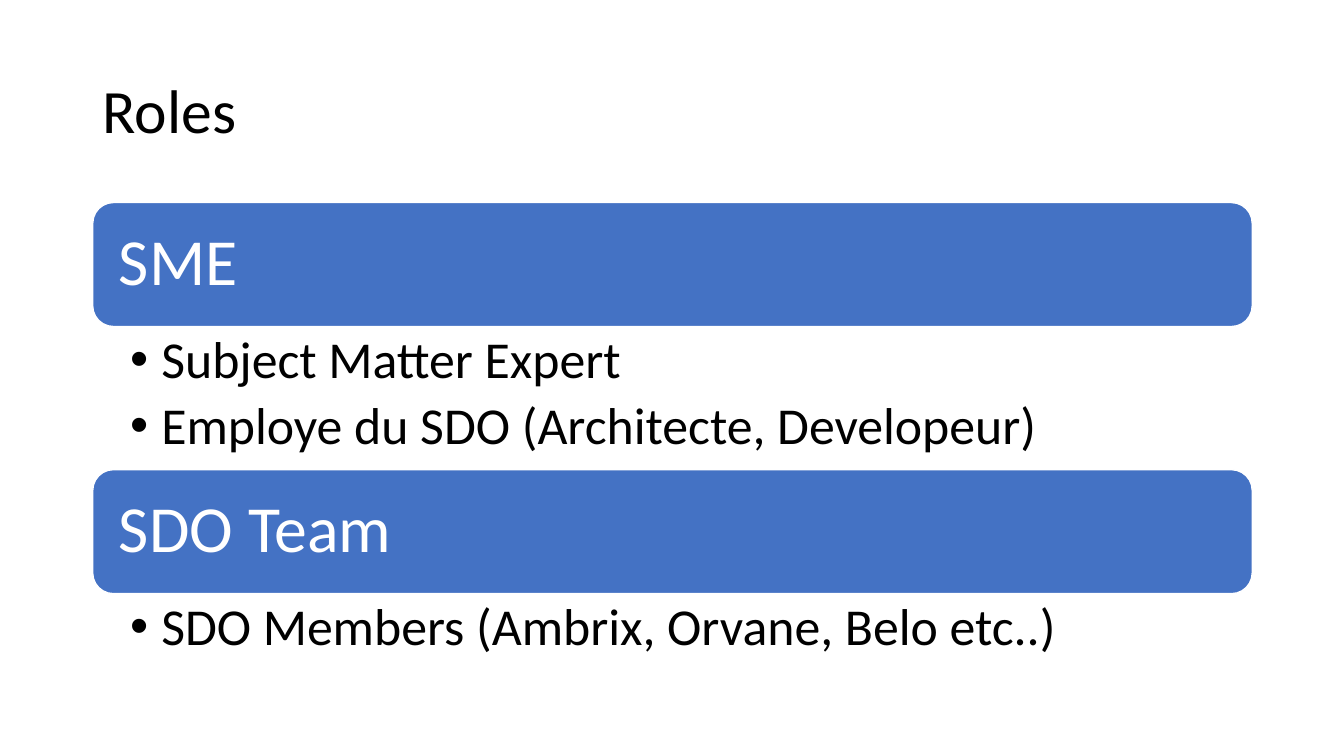
from dataclasses import dataclass

from lxml.etree import SubElement
from pptx import Presentation
from pptx.dml.color import RGBColor
from pptx.enum.shapes import MSO_SHAPE
from pptx.enum.text import MSO_ANCHOR, PP_ALIGN
from pptx.oxml.ns import qn
from pptx.slide import Slide
from pptx.text.text import TextFrame, _Paragraph
from pptx.util import Inches, Pt


@dataclass(frozen=True)
class Theme:
    font: str = "Calibri"
    text: RGBColor = RGBColor(0x00, 0x00, 0x00)
    bar: RGBColor = RGBColor(0x44, 0x72, 0xC4)
    light: RGBColor = RGBColor(0xFF, 0xFF, 0xFF)
    title_size: float = 44
    role_size: float = 47
    detail_size: float = 37
    line_spacing: float = 0.9
    detail_gap: float = 7.4


@dataclass(frozen=True)
class Role:
    name: str
    details: tuple[str, ...]
    details_height: float


THEME = Theme()
LEFT, WIDTH = 0.92, 11.5
ROLES_TOP, BAR_HEIGHT = 2.01, 1.23
BULLET_INDENT = 0.31

ROLES = (
    Role("SME", ("Subject Matter Expert", "Employe du SDO (Architecte, Developeur)"), 1.42),
    Role("SDO Team", ("SDO Members (Ambrix, Orvane, Belo etc..)",), 0.85),
)


def set_insets(frame: TextFrame, horizontal: float, vertical: float) -> None:
    frame.margin_left = frame.margin_right = Inches(horizontal)
    frame.margin_top = frame.margin_bottom = Inches(vertical)


def write(paragraph: _Paragraph, text: str, size: float, color: RGBColor) -> None:
    paragraph.alignment = PP_ALIGN.LEFT
    paragraph.line_spacing = THEME.line_spacing
    run = paragraph.add_run()
    run.text = text
    run.font.name = THEME.font
    run.font.size = Pt(size)
    run.font.color.rgb = color


def add_bullet(paragraph: _Paragraph) -> None:
    properties = paragraph._p.get_or_add_pPr()
    properties.set("marL", str(Inches(BULLET_INDENT)))
    properties.set("indent", str(-Inches(BULLET_INDENT)))
    SubElement(properties, qn("a:buFont"), typeface="Arial")
    SubElement(properties, qn("a:buChar"), char="•")


def add_text_frame(slide: Slide, top: float, height: float) -> TextFrame:
    box = slide.shapes.add_textbox(Inches(LEFT), Inches(top), Inches(WIDTH), Inches(height))
    box.text_frame.word_wrap = True
    return box.text_frame


def add_title(slide: Slide, text: str) -> None:
    frame = add_text_frame(slide, 0.4, 1.45)
    frame.vertical_anchor = MSO_ANCHOR.MIDDLE
    write(frame.paragraphs[0], text, THEME.title_size, THEME.text)


def add_role_bar(slide: Slide, name: str, top: float) -> None:
    bar = slide.shapes.add_shape(
        MSO_SHAPE.ROUNDED_RECTANGLE,
        Inches(LEFT), Inches(top), Inches(WIDTH), Inches(BAR_HEIGHT),
    )
    bar.shadow.inherit = False
    bar.fill.solid()
    bar.fill.fore_color.rgb = THEME.bar
    bar.line.color.rgb = THEME.light
    bar.line.width = Pt(1)
    frame = bar.text_frame
    frame.word_wrap = True
    frame.vertical_anchor = MSO_ANCHOR.MIDDLE
    set_insets(frame, 0.2, 0.2)
    write(frame.paragraphs[0], name, THEME.role_size, THEME.light)


def add_details(slide: Slide, role: Role, top: float) -> None:
    frame = add_text_frame(slide, top, role.details_height)
    set_insets(frame, 0.37, 0.07)
    for index, detail in enumerate(role.details):
        paragraph = frame.add_paragraph() if index else frame.paragraphs[0]
        add_bullet(paragraph)
        paragraph.space_after = Pt(THEME.detail_gap)
        write(paragraph, detail, THEME.detail_size, THEME.text)


def main() -> None:
    presentation = Presentation()
    presentation.slide_width = Inches(13.33)
    presentation.slide_height = Inches(7.5)
    slide = presentation.slides.add_slide(presentation.slide_layouts[6])

    add_title(slide, "Roles")
    top = ROLES_TOP
    for role in ROLES:
        add_role_bar(slide, role.name, top)
        add_details(slide, role, top + BAR_HEIGHT)
        top += BAR_HEIGHT + role.details_height

    presentation.save("out.pptx")


if __name__ == "__main__":
    main()
